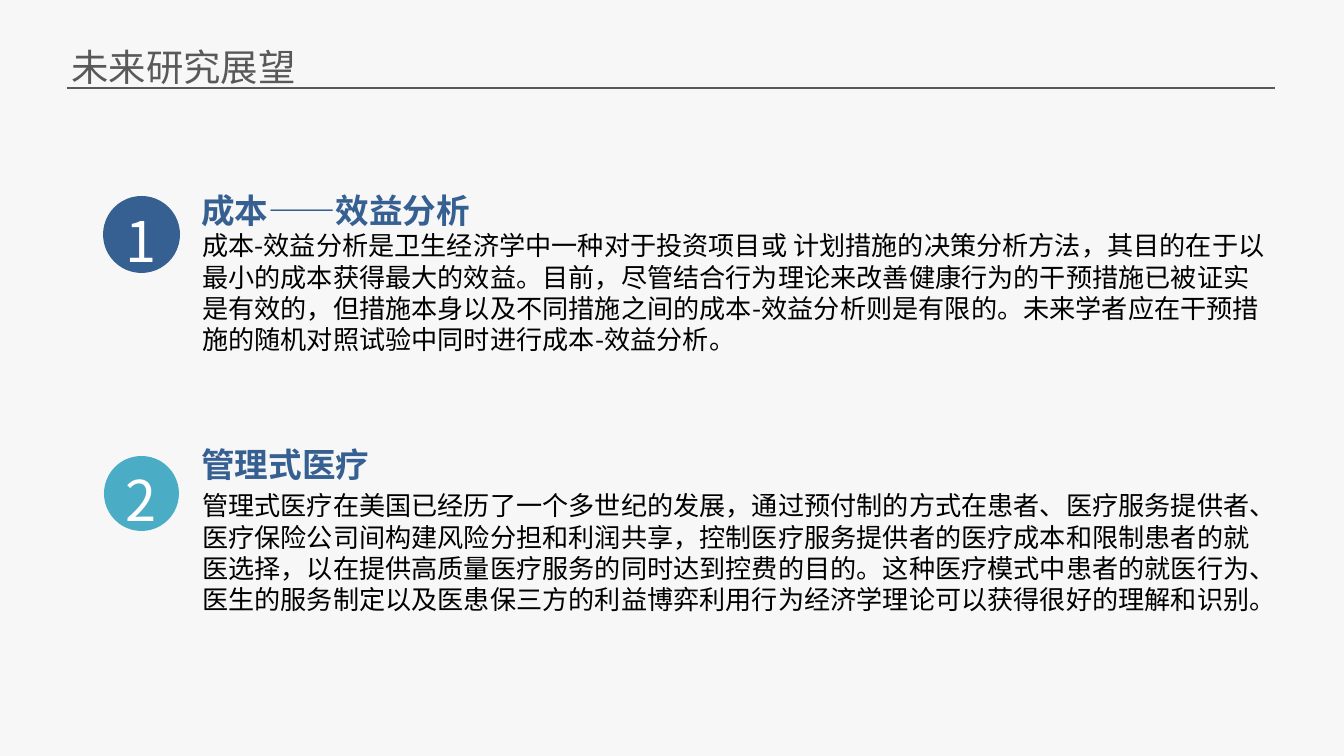
from lxml import etree
from pptx import Presentation
from pptx.dml.color import RGBColor
from pptx.enum.shapes import MSO_CONNECTOR, MSO_SHAPE
from pptx.enum.text import MSO_ANCHOR, MSO_AUTO_SIZE, PP_ALIGN
from pptx.oxml.ns import qn
from pptx.util import Pt

PX = 914400 / 134.4
WIDTH, HEIGHT = 1344, 756
FONT = "Noto Sans CJK SC"
OVAL, DONUT = MSO_SHAPE.OVAL, MSO_SHAPE.DONUT
STRAIGHT = MSO_CONNECTOR.STRAIGHT
TOP, MIDDLE = MSO_ANCHOR.TOP, MSO_ANCHOR.MIDDLE
LEFT, CENTER = PP_ALIGN.LEFT, PP_ALIGN.CENTER
NO_FIT = MSO_AUTO_SIZE.NONE
GRAY, NAVY, TEAL, BLACK, WHITE = "595959", "376092", "4BACC6", "000000", "FFFFFF"
PAPER = "F7F7F7"

SECTIONS = [
    # top of section, badge box (left, top, size), body offset, badge colour, ring
    dict(top=180, badge=(0, 16, 77), body_top=43, color=NAVY, ring=False,
         heading="成本——效益分析",
         body="成本-效益分析是卫生经济学中一种对于投资项目或 计划措施的决策分析方法，"
              "其目的在于以最小的成本获得最大的效益。目前，尽管结合行为理论来改善健康行为的"
              "干预措施已被证实是有效的，但措施本身以及不同措施之间的成本-效益分析则是有限的。"
              "未来学者应在干预措施的随机对照试验中同时进行成本-效益分析。"),
    dict(top=434, badge=(2, 23, 73), body_top=49, color=TEAL, ring=True,
         heading="管理式医疗",
         body="管理式医疗在美国已经历了一个多世纪的发展，通过预付制的方式在患者、"
              "医疗服务提供者、医疗保险公司间构建风险分担和利润共享，控制医疗服务提供者的"
              "医疗成本和限制患者的就医选择，以在提供高质量医疗服务的同时达到控费的目的。"
              "这种医疗模式中患者的就医行为、医生的服务制定以及医患保三方的利益博弈"
              "利用行为经济学理论可以获得很好的理解和识别。"),
]


def px(*lengths):
    return [round(length * PX) for length in lengths]


def rgb(color):
    return RGBColor.from_string(color)


def write(shape, text, size, color, leading, bold=False, wrap=False,
          align=LEFT, anchor=TOP):
    """Set the text of a shape; leading is the line height in ems."""
    frame = shape.text_frame
    frame.text = text
    frame.word_wrap = wrap
    frame.auto_size = NO_FIT
    frame.vertical_anchor = anchor
    para = frame.paragraphs[0]
    para.alignment = align
    para.line_spacing = Pt(size * leading)
    span = para.runs[0]
    span.font.size, span.font.bold, span.font.name = Pt(size), bold, FONT
    span.font.color.rgb = rgb(color)
    # East Asian typeface and language
    props = span._r.get_or_add_rPr()
    props.set("lang", "zh-CN")
    etree.SubElement(props, qn("a:ea")).set("typeface", FONT)


def add_filled(shapes, kind, box, color):
    shape = shapes.add_shape(kind, *px(*box))
    shape.shadow.inherit = False
    shape.fill.solid()
    shape.fill.fore_color.rgb = rgb(color)
    shape.line.fill.background()
    return shape


def add_header(page, left, top, width):
    title = page.shapes.title
    title.left, title.top, title.width, title.height = px(left - 9, top, 253, 59)
    write(title, "未来研究展望", 20, GRAY, 1.3)
    # Rule below the title
    rule = page.shapes.add_connector(
        STRAIGHT, *px(left, top + 54, left + width, top + 54))
    rule.line.color.rgb = rgb(GRAY)
    rule.line.width = Pt(0.75)
    etree.SubElement(rule._element.spPr, qn("a:effectLst"))


def add_badge(page, number, left, top, size, color, ring):
    shapes = page.shapes
    if ring:
        shapes = page.shapes.add_group_shape().shapes
        edge = add_filled(shapes, DONUT, (left - 1, top - 1, size + 2, size + 2), color)
        edge.adjustments[0] = 0.05
    disc = add_filled(shapes, OVAL, (left, top, size, size), color)
    write(disc, str(number), 30, WHITE, 1.4, align=CENTER, anchor=MIDDLE)


def add_section(page, number, left, top, badge, body_top, color, ring, heading, body):
    badge_left, badge_top, size = badge
    add_badge(page, number, left + badge_left, top + badge_top, size, color, ring)
    heading_box = page.shapes.add_textbox(*px(left + 85, top, 304, 54))
    write(heading_box, heading, 18, NAVY, 1.3, bold=True)
    body_box = page.shapes.add_textbox(*px(left + 86, top + body_top, 1092, 140))
    write(body_box, body, 14, BLACK, 1.2, wrap=True)


def main():
    deck = Presentation()
    deck.slide_width, deck.slide_height = px(WIDTH, HEIGHT)
    page = deck.slides.add_slide(deck.slide_layouts.get_by_name("Title Only"))
    page.background.fill.solid()
    page.background.fill.fore_color.rgb = rgb(PAPER)
    add_header(page, 67, 34, 1208)
    for number, section in enumerate(SECTIONS, 1):
        add_section(page, number, 103, **section)
    deck.save("out.pptx")


if __name__ == "__main__":
    main()
